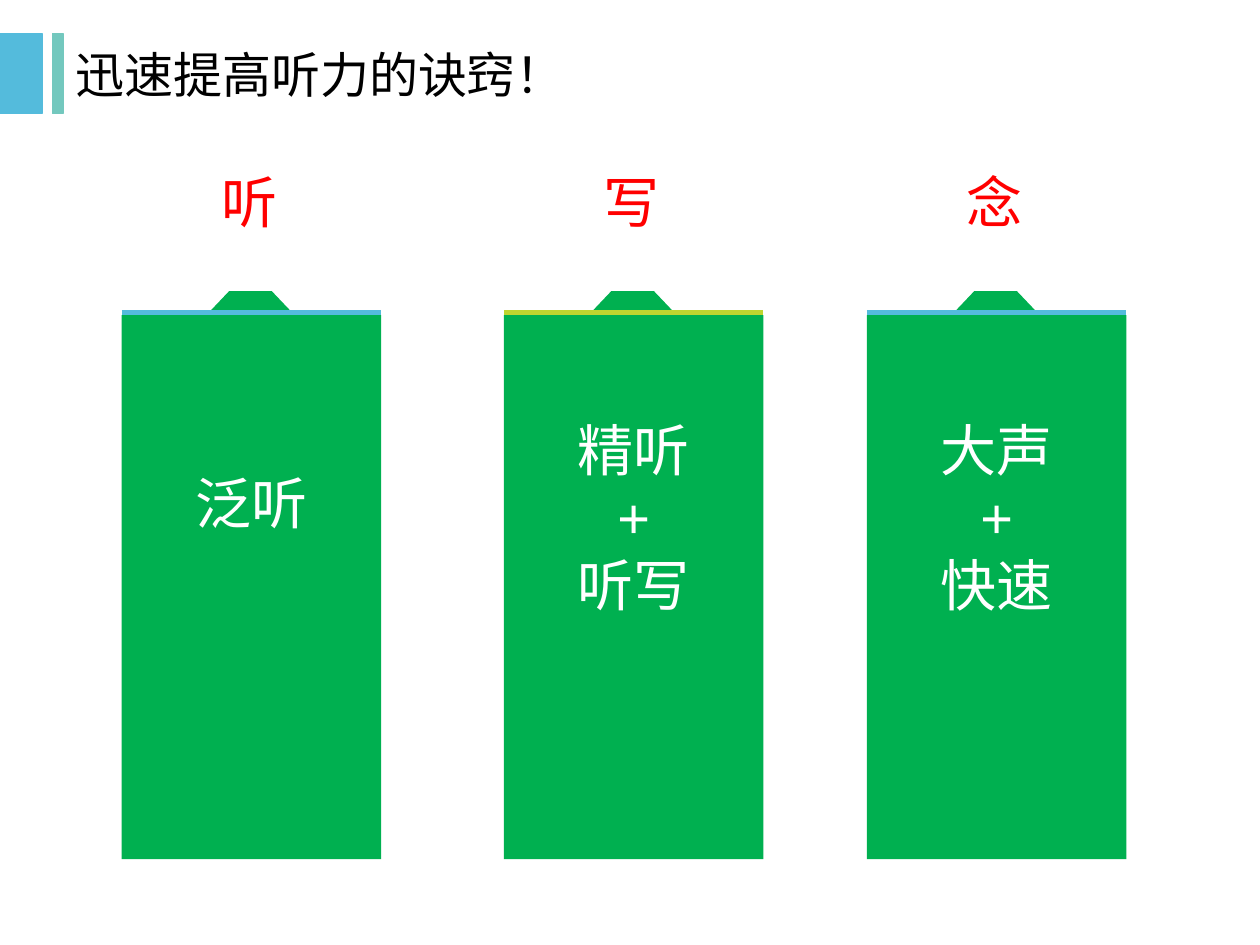
import pptx
import pptx.util
import pptx.dml.color
import pptx.enum.shapes
import pptx.enum.text
import pptx.oxml

Pt = pptx.util.Pt
RGB = pptx.dml.color.RGBColor
SHAPE = pptx.enum.shapes.MSO_SHAPE
ANCHOR = pptx.enum.text.MSO_ANCHOR
ALIGN = pptx.enum.text.PP_ALIGN

BLACK = RGB(0x00, 0x00, 0x00)
WHITE = RGB(0xFF, 0xFF, 0xFF)
RED = RGB(0xFF, 0x00, 0x00)
GREEN = RGB(0x00, 0xB0, 0x50)
BLUE = RGB(0x54, 0xBB, 0xDC)
TEAL = RGB(0x73, 0xC8, 0xBE)
LIME = RGB(0xBE, 0xD5, 0x2F)

CARDS = [
    (69.6, "听", ["泛听"], 264.2, BLUE),
    (288, "写", ["精听", "+", "听写"], 234, LIME),
    (495.4, "念", ["大声", "+", "快速"], 234, BLUE),
]


def add_block(s, kind, x, y, w, h, color, outlined=False):
    """Add a flat preset shape in one colour."""
    sp = s.shapes.add_shape(kind, Pt(x), Pt(y), Pt(w), Pt(h))
    sp.shadow.inherit = False
    sp.fill.solid()
    sp.fill.fore_color.rgb = color
    if outlined:
        sp.line.color.rgb = color
        sp.line.width = Pt(0.75)
    else:
        sp.line.fill.background()
    return sp


def set_text(tf, lines, size, color, align, anchor):
    """Fill a text frame with one paragraph per line."""
    tf.word_wrap = True
    tf.auto_size = pptx.enum.text.MSO_AUTO_SIZE.NONE
    tf.vertical_anchor = anchor
    tf.text = "\n".join(lines)
    for p in tf.paragraphs:
        p.alignment = align
        p.font.size = Pt(size)
        p.font.name = "Arial"
        p.font.color.rgb = color


def add_text(s, x, y, w, h, lines, color, anchor):
    """Add a centred text box."""
    sp = s.shapes.add_textbox(Pt(x), Pt(y), Pt(w), Pt(h))
    set_text(sp.text_frame, lines, 32, color, ALIGN.CENTER, anchor)


def add_header(s, x, y, w, h):
    """Place the two accent bars and the title."""
    add_block(s, SHAPE.RECTANGLE, x, y, 24, h, BLUE, True)
    add_block(s, SHAPE.RECTANGLE, x + 30, y, 6, h, TEAL, True)
    title = s.shapes.title
    title.left, title.top = Pt(x + 36), Pt(y + 1.2)
    title.width, title.height = Pt(w - 72), Pt(h - 1.4)
    set_text(title.text_frame, ["迅速提高听力的诀窍！"], 28, BLACK,
             ALIGN.LEFT, ANCHOR.MIDDLE)


def add_card(s, x, y, w, h, label, lines, text_top, rule_color):
    """Place a tabbed card with its label above and its text inside."""
    add_block(s, SHAPE.RECTANGLE, x, y, w, h, GREEN)
    tab_w = 48.2
    tab = add_block(s, SHAPE.HEXAGON, x + (w - tab_w) / 2 - 0.6, y - 13.7,
                    tab_w, 25.2, GREEN)
    tab.adjustments[0] = 0.474
    rule = s.shapes.add_connector(
        pptx.enum.shapes.MSO_CONNECTOR.STRAIGHT,
        Pt(x), Pt(y - 1.4), Pt(x + w), Pt(y - 1.4))
    rule.line.color.rgb = rule_color
    rule.line.width = Pt(3)
    rule._element.spPr.append(pptx.oxml.parse_xml(
        '<a:effectLst xmlns:a='
        '"http://schemas.openxmlformats.org/drawingml/2006/main"/>'))
    add_text(s, x - 7.5, y - 97.2, w + 13, 64, [label], RED, ANCHOR.MIDDLE)
    add_text(s, x, text_top, w, y + h - 14.4 - text_top, lines, WHITE,
             ANCHOR.TOP)


def main():
    """Build and save the slide."""
    prs = pptx.Presentation()
    prs.slide_width, prs.slide_height = Pt(720), Pt(540)
    s = prs.slides.add_slide(prs.slide_layouts[5])
    add_header(s, 0, 19, 720, 46)
    for x, label, lines, text_top, rule_color in CARDS:
        add_card(s, x, 180, 148.3, 311, label, lines, text_top, rule_color)
    prs.save("out.pptx")


main()
